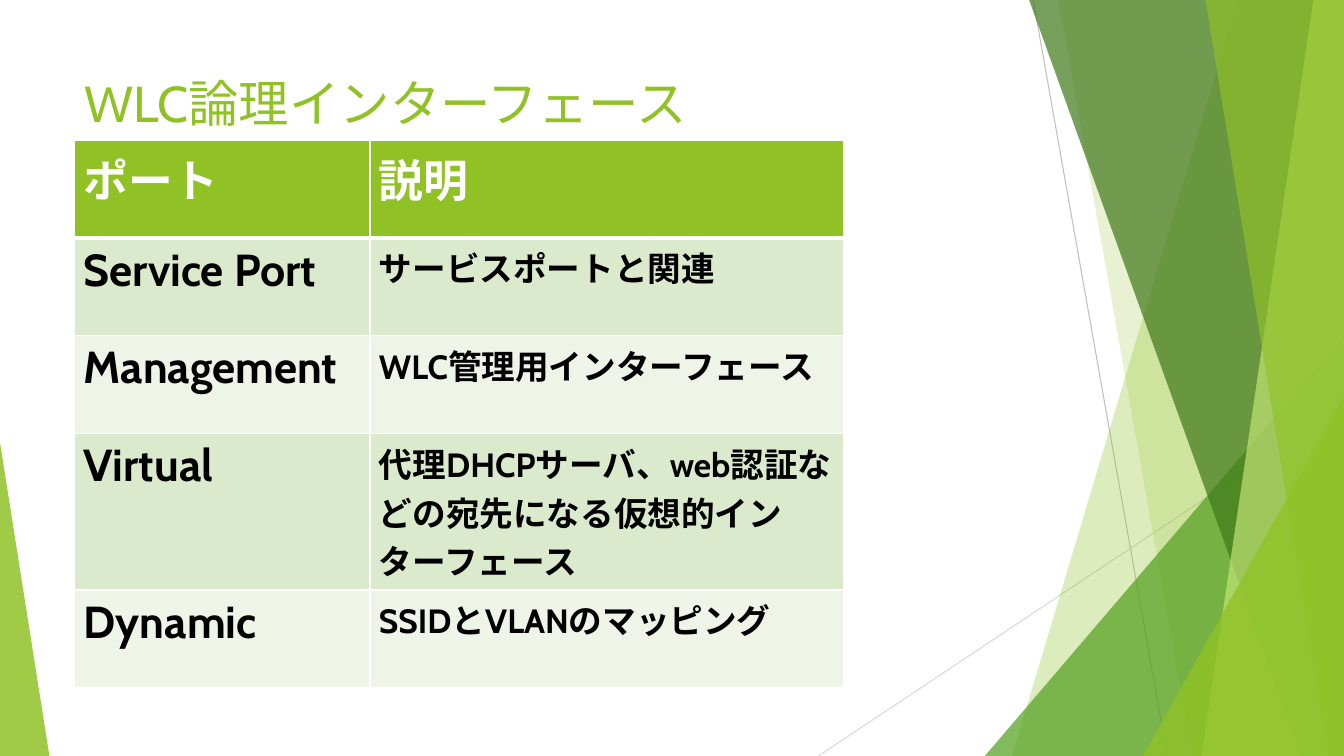
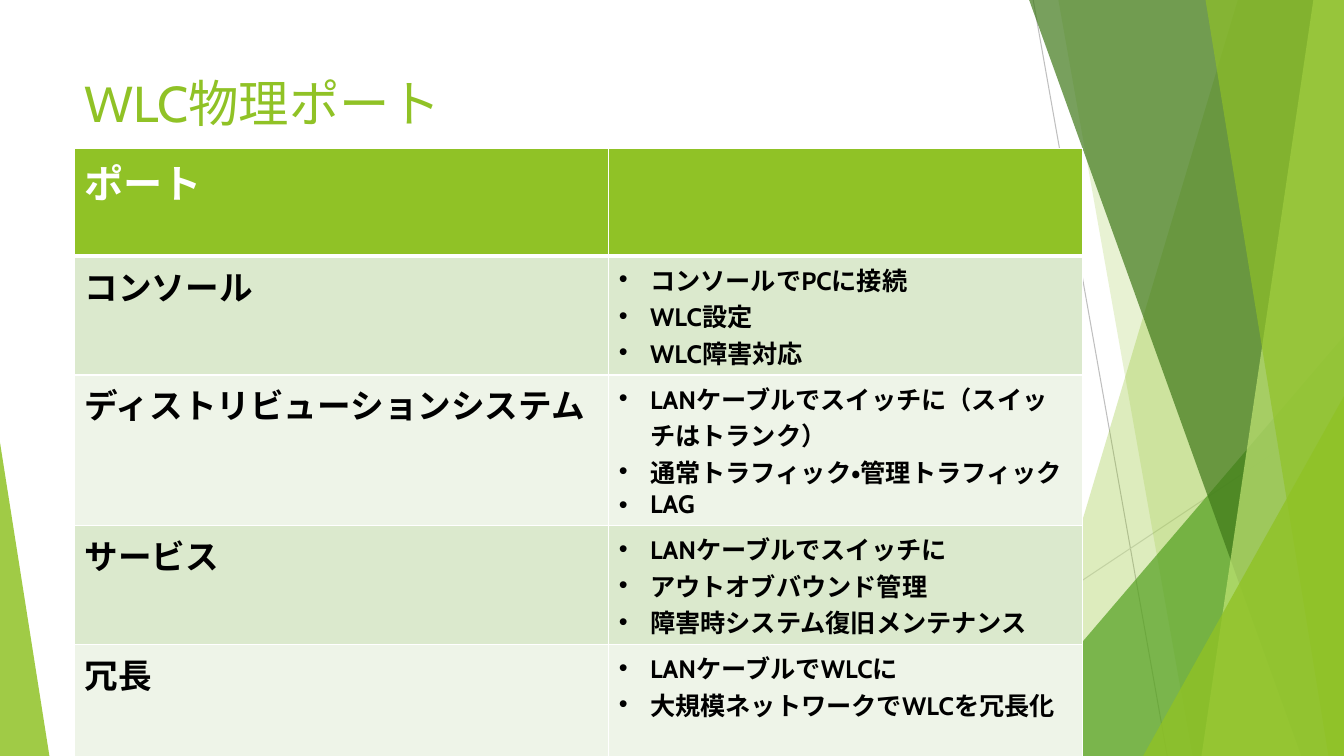
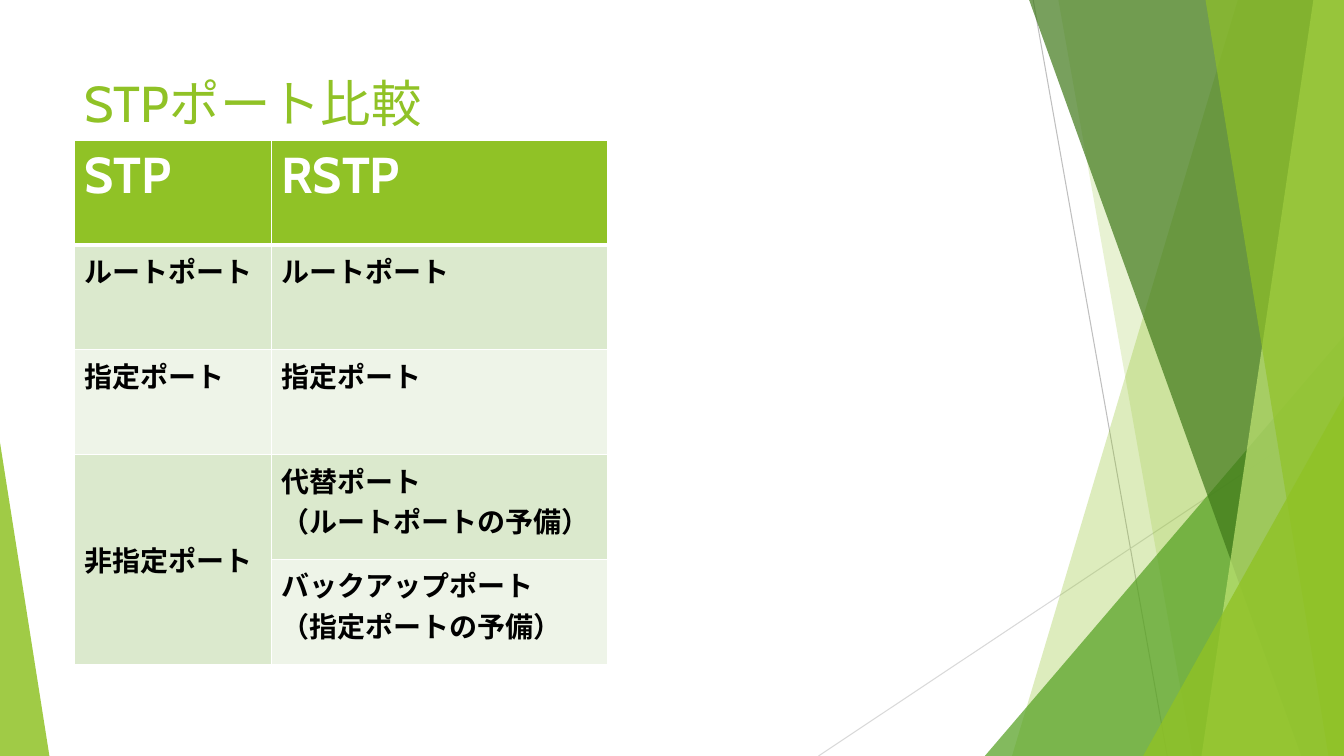
from lxml import etree
from pptx import Presentation
from pptx.dml.color import RGBColor
from pptx.enum import lang, shapes, text
from pptx.oxml import ns
from pptx import util as u

LIME = RGBColor(0x90, 0xC2, 0x26)
GREEN = RGBColor(0x54, 0xA0, 0x21)
FOREST = RGBColor(0x3F, 0x78, 0x19)
PALE_LIME = RGBColor(0xC0, 0xE4, 0x74)
ODD_ROW = RGBColor(0xDB, 0xE9, 0xCD)
EVEN_ROW = RGBColor(0xEE, 0xF4, 0xE8)
SILVER = RGBColor(0xBF, 0xBF, 0xBF)
LIGHT_GREY = RGBColor(0xD9, 0xD9, 0xD9)
WHITE = RGBColor(0xFF, 0xFF, 0xFF)
BLACK = RGBColor(0, 0, 0)

FONT = "Cabin"
COLUMNS, ROWS = 40, 22.5
CELL = u.Inches(7.5) / ROWS
MARGIN = 2.22

RAYS = [
    ((30.75, 0), (34.74, ROWS), SILVER),
    ((COLUMNS, 12.09), (24.36, ROWS), LIGHT_GREY),
]
SHARDS = [
    ("band", 36.84, 30.12, LIME, 30),
    ("band", 31.5, 35.49, LIME, 20),
    ("peak", 29.31, 10, GREEN, 72),
    ("band", 30.63, 38.73, FOREST, 70),
    ("band", 39.09, 35.76, PALE_LIME, 70),
    ("band", 35.88, 39.54, LIME, 65),
    ("peak", 34.02, 11.79, LIME, 80),
]

LOGICAL = {
    "title": "WLC論理インターフェース",
    "top": 4.17, "columns": (8.79, 14.1), "inset": 0.27,
    "rows": (2.91, 2.91, 2.91, 4.66, 2.91),
    "sizes": (32, 32, 24),
    "cells": [
        ("ポート", "説明"),
        ("Service Port", "サービスポートと関連"),
        ("Management", "WLC管理用インターフェース"),
        ("Virtual", "代理DHCPサーバ、web認証などの宛先になる仮想的インターフェース"),
        ("Dynamic", "SSIDとVLANのマッピング"),
    ],
}
PHYSICAL = {
    "title": "WLC物理ポート",
    "top": 4.41, "columns": (15.9, 14.1), "bulleted": 1,
    "rows": (3.21, 3.54, 4.48, 3.54, 3.4),
    "sizes": (28, 24, 18),
    "cells": [
        ("ポート", ""),
        ("コンソール", "コンソールでPCに接続\nWLC設定\nWLC障害対応"),
        ("ディストリビューションシステム",
         "LANケーブルでスイッチに（スイッチはトランク）\n通常トラフィック・管理トラフィック\nLAG"),
        ("サービス",
         "LANケーブルでスイッチに\nアウトオブバウンド管理\n障害時システム復旧メンテナンス"),
        ("冗長", "LANケーブルでWLCに\n大規模ネットワークでWLCを冗長化"),
    ],
}
STP = {
    "title": "STPポート比較",
    "top": 4.17, "columns": (5.85, 10.02), "rows": (3.12,) * 5,
    "sizes": (36, 20, 20), "merge": ((3, 0), (4, 0)),
    "cells": [
        ("STP", "RSTP"),
        ("ルートポート", "ルートポート"),
        ("指定ポート", "指定ポート"),
        ("非指定ポート", "代替ポート\n（ルートポートの予備）"),
        ("", "バックアップポート\n（指定ポートの予備）"),
    ],
}


def grid(*cells):
    return [u.Emu(round(cell * CELL)) for cell in cells]


def child(parent, tag, **attributes):
    return etree.SubElement(parent, ns.qn(tag), attributes)


def write(paragraph, words, size, color, bold=False):
    run = paragraph.add_run()
    run.text = words
    style = {"name": FONT, "size": u.Pt(size), "bold": bold,
             "language_id": lang.MSO_LANGUAGE_ID.JAPANESE}
    for key, value in style.items():
        setattr(run.font, key, value)
    run.font.color.rgb = color


def paint(shard, color, opacity):
    shard.shadow.inherit = False
    shard.fill.solid()
    shard.fill.fore_color.rgb = color
    shard.line.fill.background()
    tint = shard._element.spPr.find(ns.qn("a:solidFill"))[0]
    child(tint, "a:alpha", val=str(opacity * 1000))


def add_ray(slide, start, end, color):
    ray = slide.shapes.add_connector(
        shapes.MSO_CONNECTOR.STRAIGHT, *grid(*start, *end))
    ray.line.color.rgb = color
    ray.line.width = u.Pt(0.75)
    child(ray._element.spPr, "a:effectLst")


def add_band(slide, top_x, bottom_x):
    outline = slide.shapes.build_freeform(*grid(top_x, 0), scale=1)
    corners = [(COLUMNS, 0), (COLUMNS, ROWS), (bottom_x, ROWS)]
    outline.add_line_segments([grid(*corner) for corner in corners], close=True)
    return outline.convert_to_shape()


def add_peak(slide, left, top, right=COLUMNS, apex=1):
    peak = slide.shapes.add_shape(
        shapes.MSO_SHAPE.ISOSCELES_TRIANGLE,
        *grid(left, top, right - left, ROWS - top))
    peak.adjustments[0] = apex
    return peak


def add_facets(slide):
    for ray in RAYS:
        add_ray(slide, *ray)
    builders = {"band": add_band, "peak": add_peak}
    for kind, first, second, color, opacity in SHARDS:
        paint(builders[kind](slide, first, second), color, opacity)
    paint(add_peak(slide, 0, 13.17, right=1.47, apex=0), LIME, 85)


def add_title(slide, words):
    frame = slide.shapes.add_textbox(*grid(MARGIN, 2.01, 28.2, 4.32)).text_frame
    frame.word_wrap = True
    frame.vertical_anchor = text.MSO_ANCHOR.TOP
    write(frame.paragraphs[0], words, 36, LIME)


def set_borders(cell, row):
    heavy = {0: "a:lnB", 1: "a:lnT"}.get(row)
    properties = cell._tc.get_or_add_tcPr()
    for side in ("a:lnL", "a:lnR", "a:lnT", "a:lnB"):
        width = u.Pt(3 if side == heavy else 1)
        line = child(properties, side, w=str(width))
        child(child(line, "a:solidFill"), "a:srgbClr", val=str(WHITE))


def add_bullet(paragraph):
    indent = u.Inches(0.31)
    properties = paragraph._p.get_or_add_pPr()
    properties.set("marL", str(indent))
    properties.set("indent", str(-indent))
    child(properties, "a:buFont", typeface="Arial")
    child(properties, "a:buChar", char="•")


def fill_cell(cell, words, row, column, content):
    header = row == 0
    set_borders(cell, row)
    cell.fill.solid()
    cell.fill.fore_color.rgb = LIME if header else (EVEN_ROW, ODD_ROW)[row % 2]
    side = content.get("inset", 0.3)
    cell.margin_left, cell.margin_right = grid(side, side)
    size = content["sizes"][0 if header else column + 1]
    for index, line in enumerate(words.split("\n") if words else []):
        frame = cell.text_frame
        paragraph = frame.add_paragraph() if index else frame.paragraphs[0]
        if not header and column == content.get("bulleted"):
            add_bullet(paragraph)
        write(paragraph, line, size, WHITE if header else BLACK, bold=True)


def add_ports(slide, content):
    cells, widths, heights = content["cells"], content["columns"], content["rows"]
    box = grid(MARGIN, content["top"], sum(widths), sum(heights))
    ports = slide.shapes.add_table(len(cells), len(widths), *box).table
    ports.horz_banding = False
    for column, width in zip(ports.columns, grid(*widths)):
        column.width = width
    for row, height in zip(ports.rows, grid(*heights)):
        row.height = height
    for row, entries in enumerate(cells):
        for column, words in enumerate(entries):
            fill_cell(ports.cell(row, column), words, row, column, content)
    if "merge" in content:
        first, last = content["merge"]
        ports.cell(*first).merge(ports.cell(*last))
        ports.cell(*first).vertical_anchor = text.MSO_ANCHOR.MIDDLE


def add_slide(deck, content):
    slide = deck.slides.add_slide(deck.slide_layouts[6])
    add_facets(slide)
    add_title(slide, content["title"])
    add_ports(slide, content)


def main():
    deck = Presentation()
    deck.slide_width, deck.slide_height = grid(COLUMNS, ROWS)
    for content in (LOGICAL, PHYSICAL, STP):
        add_slide(deck, content)
    deck.save("out.pptx")


if __name__ == "__main__":
    main()
